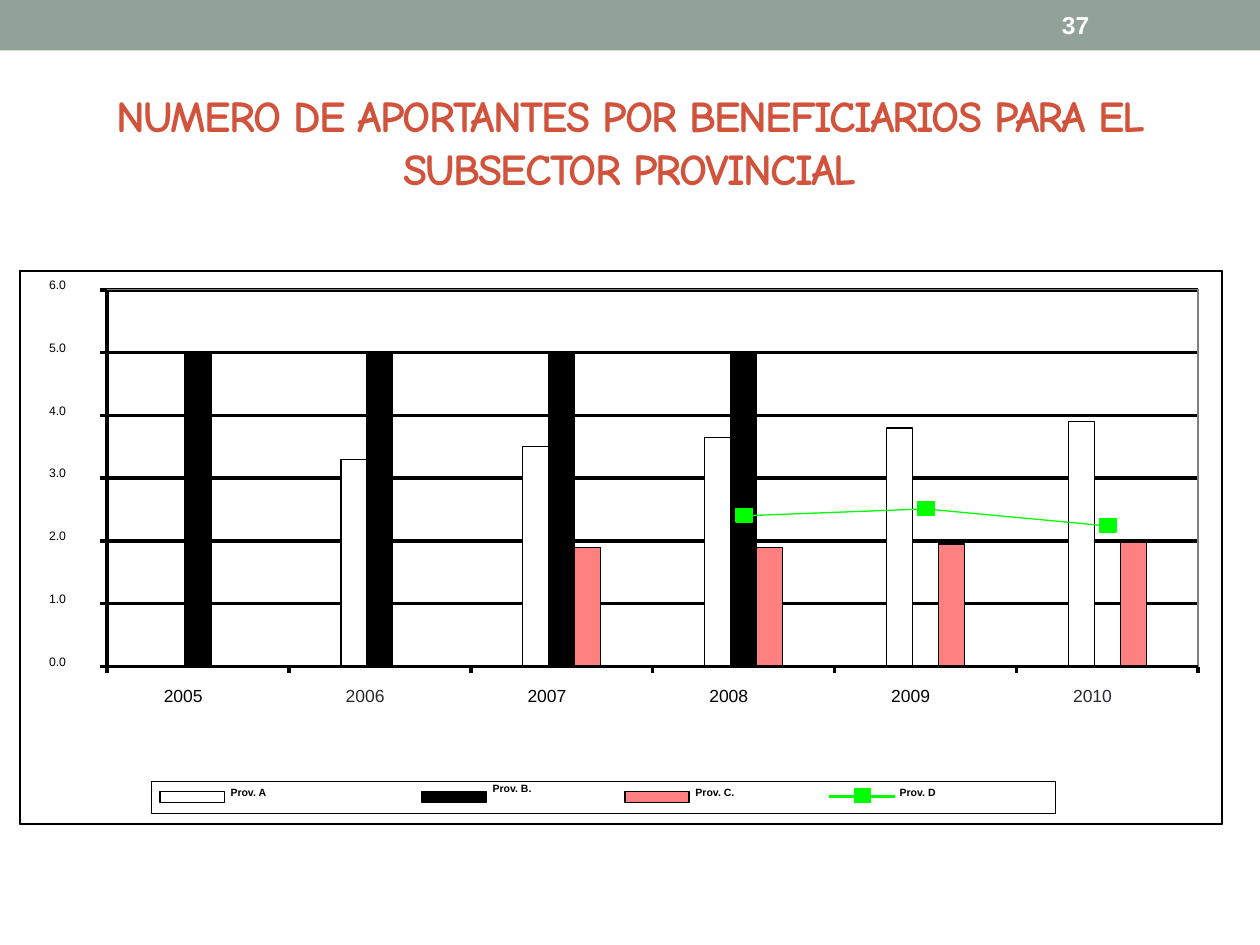
import dataclasses

import lxml.etree
import pptx
import pptx.dml.color
import pptx.enum.shapes
import pptx.enum.text
import pptx.oxml.ns
import pptx.shapes.shapetree
import pptx.util

Inches = pptx.util.Inches
Color = pptx.dml.color.RGBColor
Tree = pptx.shapes.shapetree.GroupShapes

WHITE = Color(0xFF, 0xFF, 0xFF)
BLACK = Color(0x00, 0x00, 0x00)
GRAY = Color(0x80, 0x80, 0x80)
SAGE = Color(0x93, 0xA2, 0x99)
RUST = Color(0xD2, 0x53, 0x3C)
SLATE = Color(0x29, 0x29, 0x34)
PINK = Color(0xFF, 0x80, 0x80)
GREEN = Color(0x00, 0xFF, 0x00)

# Plot area and scale
LEFT, TOP, WIDE, HIGH = 0.85, 2.3, 8.66, 2.99
RIGHT, BASE = LEFT + WIDE, TOP + HIGH
PEAK = 6
YEARS = range(2005, 2011)
STEP = WIDE / len(YEARS)
BAR = STEP / 7
FRAME = (0.16, 2.15, 9.54, 4.39)


@dataclasses.dataclass
class Series:
    name: str
    color: Color
    values: list[float | None]
    key: float
    text_top: float = 6.24


BARS = [
    Series("Prov. A", WHITE, [None, 3.3, 3.5, 3.65, 3.8, 3.9], 1.27),
    Series("Prov. B.", BLACK, [5, 5, 5, 5, None, None], 3.35, 6.21),
    Series("Prov. C.", PINK, [None, None, 1.9, 1.9, 1.95, 1.98], 4.96),
]
TREND = Series("Prov. D", GREEN, [None, None, None, 2.4, 2.51, 2.24], 6.58)


def level(value: float) -> float:
    return BASE - value * HIGH / PEAK


def draw_box(tree: Tree, left: float, top: float, wide: float, high: float,
             fill: Color | None = None, line: Color | None = None) -> None:
    box = tree.add_shape(pptx.enum.shapes.MSO_SHAPE.RECTANGLE,
                         Inches(left), Inches(top), Inches(wide), Inches(high))
    box.shadow.inherit = False
    if fill is None:
        box.fill.background()
    else:
        box.fill.solid()
        box.fill.fore_color.rgb = fill
    if line is None:
        box.line.fill.background()
    else:
        box.line.color.rgb = line
        box.line.width = 0


def draw_line(tree: Tree, x1: float, y1: float, x2: float, y2: float,
              color: Color = BLACK) -> None:
    line = tree.add_connector(pptx.enum.shapes.MSO_CONNECTOR.STRAIGHT,
                              Inches(x1), Inches(y1), Inches(x2), Inches(y2))
    line.line.color.rgb = color
    line.line.width = 0
    lxml.etree.SubElement(line._element.spPr, pptx.oxml.ns.qn("a:effectLst"))


def style(frame, font: str, size: float, color: Color, bold: bool) -> None:
    for run in frame.paragraphs[0].runs:
        run.font.name = font
        run.font.size = pptx.util.Pt(size)
        run.font.color.rgb = color
        run.font.bold = bold


def draw_label(tree: Tree, text: str, left: float, top: float, wide: float,
               high: float, size: float, color: Color = BLACK,
               bold: bool = False) -> None:
    frame = tree.add_textbox(Inches(left), Inches(top),
                             Inches(wide), Inches(high)).text_frame
    frame.margin_left = frame.margin_right = 0
    frame.margin_top = frame.margin_bottom = 0
    frame.word_wrap = False
    frame.auto_size = pptx.enum.text.MSO_AUTO_SIZE.SHAPE_TO_FIT_TEXT
    frame.text = text
    style(frame, "Arial", size, color, bold)


def draw_mark(tree: Tree, x: float, y: float) -> None:
    draw_box(tree, x - 0.06, y - 0.06, 0.13, 0.11, GREEN, GREEN)


def draw_grid(tree: Tree) -> None:
    draw_box(tree, *FRAME, WHITE, BLACK)
    draw_box(tree, LEFT, TOP, WIDE, HIGH, WHITE)
    for value in range(1, PEAK + 1):
        draw_line(tree, LEFT, level(value), RIGHT, level(value))
    draw_box(tree, LEFT, TOP, WIDE, HIGH, line=GRAY)


def draw_bars(tree: Tree) -> None:
    for place, series in enumerate(BARS, start=2):
        for index, value in enumerate(series.values):
            if value is not None:
                left = LEFT + index * STEP + place * BAR
                draw_box(tree, left, level(value), BAR, BASE - level(value),
                         series.color, BLACK)


def draw_axes(tree: Tree) -> None:
    draw_line(tree, LEFT, TOP, LEFT, BASE)
    draw_line(tree, LEFT, BASE, RIGHT, BASE)
    for value in range(PEAK + 1):
        y = level(value)
        draw_line(tree, LEFT - 0.06, y, LEFT, y)
        draw_label(tree, f"{value}.0", 0.39, y - 0.1, 0.43, 0.26, 7)
    for index in range(len(YEARS) + 1):
        x = LEFT + index * STEP
        draw_line(tree, x, BASE + 0.05, x, BASE)
    for index, year in enumerate(YEARS):
        color = SLATE if year in (2006, 2010) else BLACK
        draw_label(tree, str(year), 1.3 + index * STEP, 5.44, 0.31, 0.17,
                   10, color)


def draw_trend(tree: Tree) -> None:
    points = [(LEFT + (index + 0.5) * STEP, level(value))
              for index, value in enumerate(TREND.values) if value is not None]
    dots = [(Inches(x), Inches(y)) for x, y in points]
    pen = tree.build_freeform(*dots[0])
    pen.add_line_segments(dots[1:], close=False)
    curve = pen.convert_to_shape()
    curve.shadow.inherit = False
    curve.fill.background()
    curve.line.color.rgb = GREEN
    curve.line.width = 0
    for x, y in points:
        draw_mark(tree, x, y)


def draw_legend(tree: Tree) -> None:
    draw_box(tree, 1.2, 6.2, 7.18, 0.26, WHITE, BLACK)
    for series in BARS:
        draw_box(tree, series.key, 6.28, 0.51, 0.09, series.color, BLACK)
    draw_line(tree, TREND.key, 6.32, TREND.key + 0.52, 6.32, GREEN)
    draw_mark(tree, TREND.key + 0.26, 6.32)
    for series in [*BARS, TREND]:
        draw_label(tree, series.name, series.key + 0.56, series.text_top,
                   0.34, 0.1, 6, bold=True)


def main() -> None:
    deck = pptx.Presentation()
    deck.slide_width, deck.slide_height = Inches(10), Inches(7.5)
    slide = deck.slides.add_slide(deck.slide_layouts[5])
    middle = pptx.enum.text.MSO_ANCHOR.MIDDLE

    # Top band and page number
    draw_box(slide.shapes, 0, 0, 10, 0.4, SAGE)
    page = slide.shapes.add_textbox(Inches(8.33), Inches(0.02),
                                    Inches(1.17), Inches(0.36)).text_frame
    page.word_wrap = True
    page.vertical_anchor = middle
    page.text = "37"
    style(page, "Arial", 14, WHITE, True)

    # Title
    title = slide.shapes.title
    title.left, title.top = Inches(0.5), Inches(0.58)
    title.width, title.height = Inches(9), Inches(1.08)
    head = title.text_frame
    head.text = ("NUMERO DE APORTANTES POR BENEFICIARIOS PARA EL "
                 "SUBSECTOR PROVINCIAL")
    head.auto_size = pptx.enum.text.MSO_AUTO_SIZE.NONE
    head.vertical_anchor = middle
    head.paragraphs[0].alignment = pptx.enum.text.PP_ALIGN.CENTER
    style(head, "Comic Neue", 25.2, RUST, True)
    head.paragraphs[0].runs[0]._r.get_or_add_rPr().set("spc", "-100")

    # Chart drawing, kept as one group
    tree = slide.shapes.add_group_shape().shapes
    draw_grid(tree)
    draw_bars(tree)
    draw_axes(tree)
    draw_trend(tree)
    draw_legend(tree)
    draw_box(tree, *FRAME, line=BLACK)

    deck.save("out.pptx")


if __name__ == "__main__":
    main()
